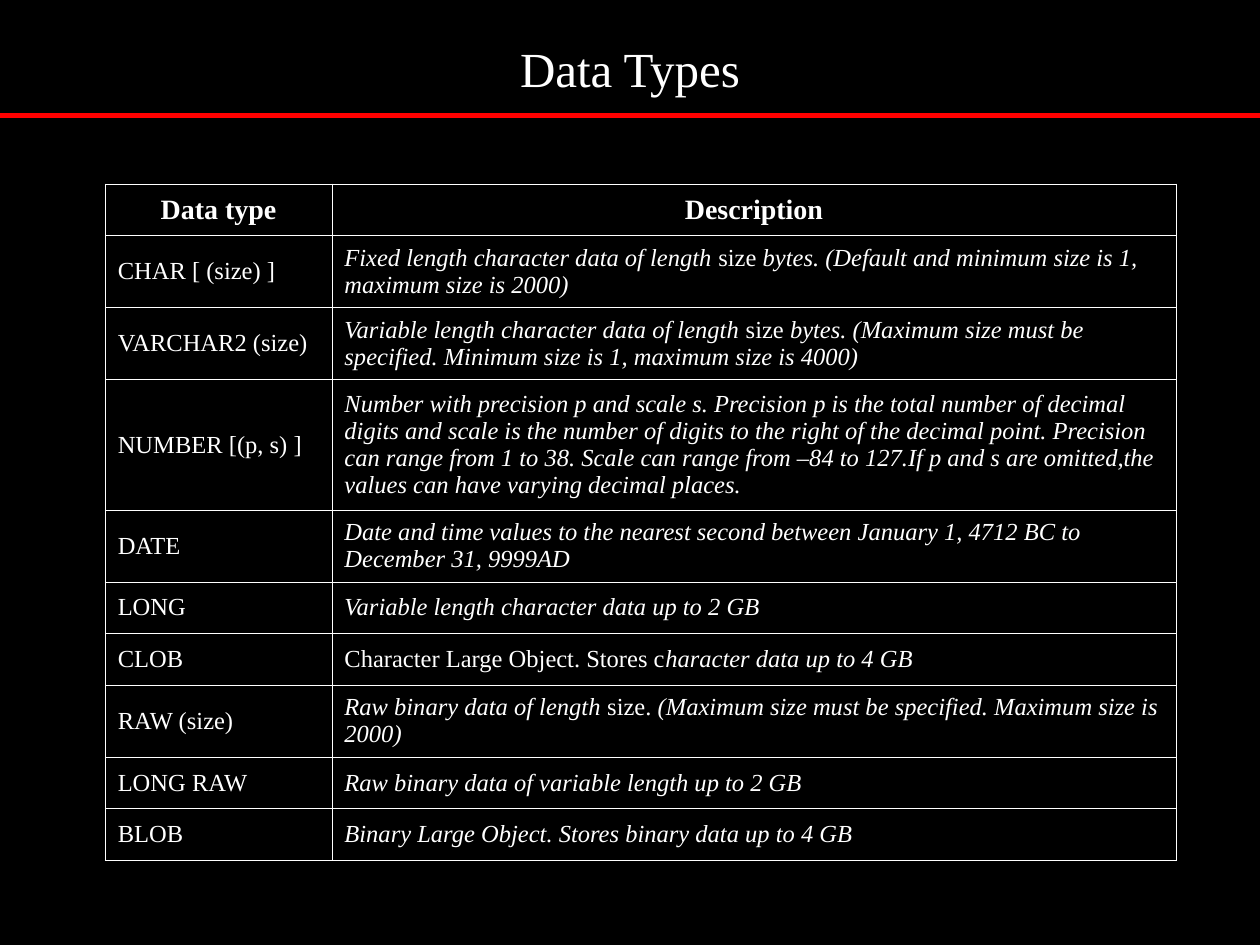
"""Build a slide that tabulates database data types."""
from dataclasses import dataclass

from lxml.etree import SubElement
from pptx import Presentation
from pptx.dml.color import RGBColor
from pptx.enum.shapes import MSO_CONNECTOR
from pptx.enum.text import MSO_ANCHOR, PP_ALIGN
from pptx.oxml.ns import qn
from pptx.slide import Slide
from pptx.table import _Cell
from pptx.text.text import _Paragraph
from pptx.util import Cm, Pt


@dataclass(frozen=True)
class Theme:
    font: str = "Times New Roman"
    background: RGBColor = RGBColor(0, 0, 0)
    text: RGBColor = RGBColor(255, 255, 255)
    rule: RGBColor = RGBColor(255, 0, 0)
    title_size: float = 28
    header_size: float = 16
    body_size: float = 14
    border_width: float = 0.45
    rule_width: float = 3


@dataclass(frozen=True)
class TextRun:
    text: str
    italic: bool = True


@dataclass(frozen=True)
class DataType:
    name: str
    description: tuple[TextRun, ...]
    height: float
    alignment: PP_ALIGN = PP_ALIGN.LEFT


THEME = Theme()
ONE_LINE, TWO_LINES, FOUR_LINES = 1.04, 1.45, 2.63
COLUMN_WIDTHS = (4.57, 17.02)
HEADERS = ("Data type", "Description")

DATA_TYPES = (
    DataType("CHAR [ (size) ]", (
        TextRun("Fixed length character data of length "),
        TextRun("size", False),
        TextRun(" bytes. (Default and minimum size is 1, maximum size is 2000)"),
    ), TWO_LINES),
    DataType("VARCHAR2 (size)", (
        TextRun("Variable length character data of length "),
        TextRun("size", False),
        TextRun(" bytes. (Maximum size must be specified. Minimum size is 1, "
                "maximum size is 4000)"),
    ), TWO_LINES),
    DataType("NUMBER [(p, s) ]", (
        TextRun("Number with precision p and scale s. Precision p is the total number of "
                "decimal digits and scale is the number of digits to the right of the "
                "decimal point. Precision can range from 1 to 38. Scale can range from "
                "–84 to 127.If p and s are omitted,the values can have varying decimal "
                "places."),
    ), FOUR_LINES),
    DataType("DATE", (
        TextRun("Date and time values to the nearest second between January 1, 4712 BC "
                "to December 31, 9999AD"),
    ), TWO_LINES),
    DataType("LONG", (TextRun("Variable length character data up to 2 GB"),), ONE_LINE),
    DataType("CLOB", (
        TextRun("Character Large Object. Stores c", False),
        TextRun("haracter data up to 4 GB"),
    ), ONE_LINE, PP_ALIGN.JUSTIFY),
    DataType("RAW (size)", (
        TextRun("Raw binary data of length "),
        TextRun("size. ", False),
        TextRun("(Maximum size must be specified. Maximum size is 2000)"),
    ), TWO_LINES),
    DataType("LONG RAW", (TextRun("Raw binary data of variable length up to 2 GB"),), ONE_LINE),
    DataType("BLOB", (
        TextRun("Binary Large Object. Stores binary data up to 4 GB"),
    ), ONE_LINE, PP_ALIGN.JUSTIFY),
)


def add_runs(paragraph: _Paragraph, runs: tuple[TextRun, ...], size: float,
             alignment: PP_ALIGN, bold: bool = False) -> None:
    paragraph.alignment = alignment
    for item in runs:
        run = paragraph.add_run()
        run.text = item.text
        run.font.name = THEME.font
        run.font.size = Pt(size)
        run.font.bold = bold
        run.font.italic = item.italic
        run.font.color.rgb = THEME.text


def style_cell(cell: _Cell) -> None:
    properties = cell._tc.get_or_add_tcPr()
    for side in ("lnL", "lnR", "lnT", "lnB"):
        border = SubElement(properties, qn(f"a:{side}"), w=str(int(Pt(THEME.border_width))))
        fill = SubElement(border, qn("a:solidFill"))
        SubElement(fill, qn("a:srgbClr"), val=str(THEME.text))
    cell.fill.background()
    cell.vertical_anchor = MSO_ANCHOR.MIDDLE


def fill_cell(cell: _Cell, runs: tuple[TextRun, ...], size: float,
              alignment: PP_ALIGN = PP_ALIGN.LEFT, bold: bool = False) -> None:
    style_cell(cell)
    paragraph = cell.text_frame.paragraphs[0]
    paragraph.space_before = Pt(size / 4)
    add_runs(paragraph, runs, size, alignment, bold)


def add_title(slide: Slide, text: str) -> None:
    shape = slide.shapes.add_textbox(Cm(1.9), Cm(0.64), Cm(21.6), Cm(1.47))
    frame = shape.text_frame
    frame.word_wrap = True
    frame.vertical_anchor = MSO_ANCHOR.MIDDLE
    add_runs(frame.paragraphs[0], (TextRun(text, False),), THEME.title_size, PP_ALIGN.CENTER)


def add_rule(slide: Slide) -> None:
    rule = slide.shapes.add_connector(
        MSO_CONNECTOR.STRAIGHT, Cm(0), Cm(2.33), Cm(25.4), Cm(2.33))
    rule.line.color.rgb = THEME.rule
    rule.line.width = Pt(THEME.rule_width)
    SubElement(rule._element.spPr, qn("a:effectLst"))


def add_data_type_table(slide: Slide) -> None:
    heights = (ONE_LINE, *(data_type.height for data_type in DATA_TYPES))
    table = slide.shapes.add_table(
        len(heights), len(COLUMN_WIDTHS), Cm(2.12), Cm(3.71),
        Cm(sum(COLUMN_WIDTHS)), Cm(sum(heights))).table
    table.first_row = False
    table.horz_banding = False
    for column, width in zip(table.columns, COLUMN_WIDTHS):
        column.width = Cm(width)
    for row, height in zip(table.rows, heights):
        row.height = Cm(height)
    for index, header in enumerate(HEADERS):
        fill_cell(table.cell(0, index), (TextRun(header, False),),
                  THEME.header_size, PP_ALIGN.CENTER, bold=True)
    for index, data_type in enumerate(DATA_TYPES, start=1):
        fill_cell(table.cell(index, 0), (TextRun(data_type.name, False),), THEME.body_size)
        fill_cell(table.cell(index, 1), data_type.description,
                  THEME.body_size, data_type.alignment)


def main() -> None:
    presentation = Presentation()
    presentation.slide_width = Cm(25.4)
    presentation.slide_height = Cm(19.05)
    slide = presentation.slides.add_slide(presentation.slide_layouts[6])
    slide.background.fill.solid()
    slide.background.fill.fore_color.rgb = THEME.background
    add_title(slide, "Data Types")
    add_data_type_table(slide)
    add_rule(slide)
    presentation.save("out.pptx")


if __name__ == "__main__":
    main()
